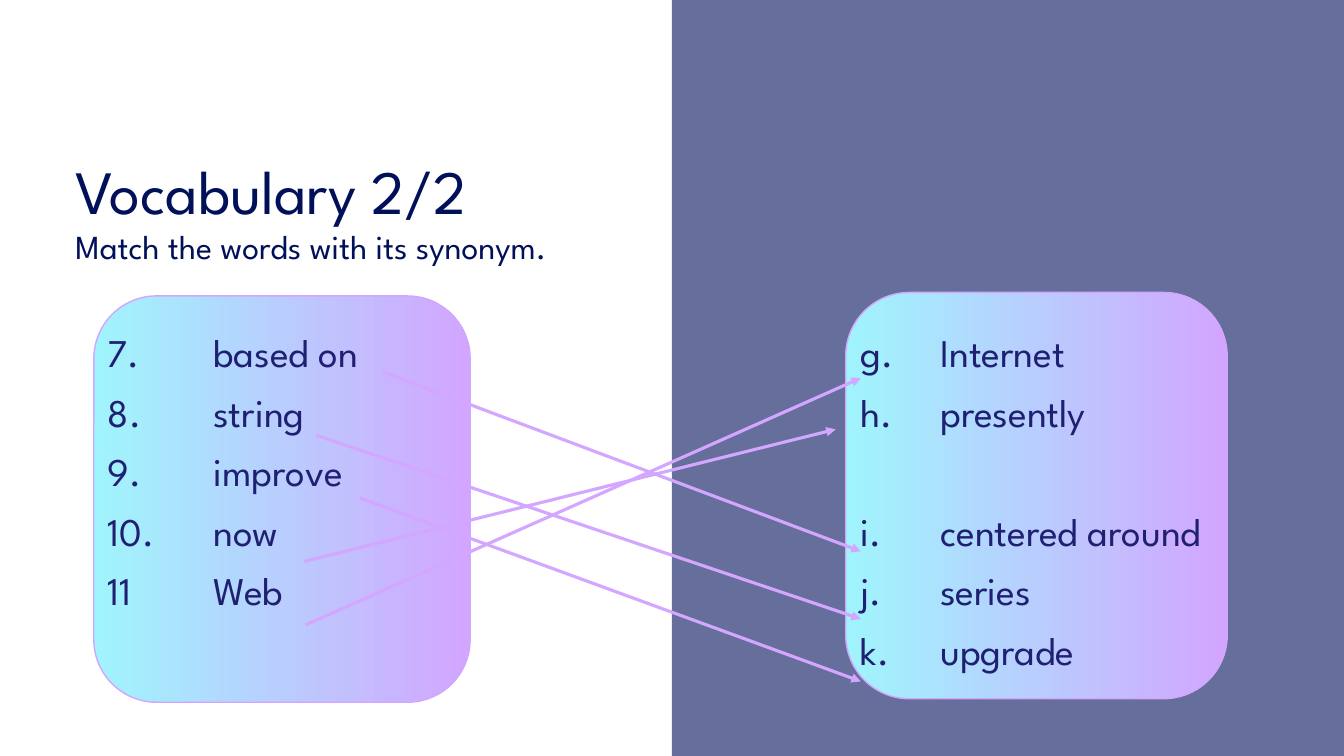
"""Build a vocabulary slide that matches words with their synonyms."""
from lxml import etree
from pptx import Presentation, util as u
from pptx.dml.color import RGBColor
from pptx.enum import shapes, text
from pptx.oxml import ns

FONT = "League Spartan"
NO_GRID_STYLE = "{2D5ABB26-0587-4C30-8999-92F81FD0307C}"
COLORS = {"navy": "001059", "ink": "1F2072", "aqua": "A0F4FD",
          "lilac": "D2A6FF", "arrow": "D3A6FF"}
ROWS = [("7.", "based on", "g.", "Internet"),
        ("8.", "string", "h.", "presently"),
        ("9.", "improve", "", ""),
        ("10.", "now", "i.", "centered around"),
        ("11", "Web", "j.", "series"),
        ("", "", "k.", "upgrade")]


def color(name):
    return RGBColor.from_string(COLORS[name])


def style(para, size, name):
    for span in para.runs:
        span.font.name = FONT
        span.font.size = u.Pt(size)
        span.font.color.rgb = color(name)


deck = Presentation()
deck.slide_width, deck.slide_height = u.Pt(960), u.Pt(540)
page = deck.slides.add_slide(deck.slide_layouts[6])

panel = page.shapes.add_shape(shapes.MSO_SHAPE.RECTANGLE,
                              u.Pt(480), u.Pt(0), u.Pt(480), u.Pt(540))
panel.shadow.inherit = False
panel.fill.solid()
panel.fill.fore_color.rgb = color("navy")
panel.line.fill.background()
panel_color = panel._element.spPr.find(".//" + ns.qn("a:srgbClr"))
etree.SubElement(panel_color, ns.qn("a:alpha"), val="60000")

for left, top, width in [(67, 211.4, 268.8), (604.1, 208.9, 272.5)]:
    card = page.shapes.add_shape(shapes.MSO_SHAPE.ROUNDED_RECTANGLE,
                                 u.Pt(left), u.Pt(top), u.Pt(width), u.Pt(290.2))
    card.shadow.inherit = False
    card.fill.gradient()
    card.fill.gradient_angle = 0
    for stop, name in zip(card.fill.gradient_stops, ("aqua", "lilac")):
        stop.color.rgb = color(name)
    card.line.color.rgb = color("lilac")
    card.line.width = u.Pt(1)

frame = page.shapes.add_table(len(ROWS), 4, u.Pt(77), u.Pt(230.4),
                              u.Pt(883), u.Pt(255))
words = frame.table
words.first_row = words.horz_banding = False
words._tbl.tblPr.find(ns.qn("a:tableStyleId")).text = NO_GRID_STYLE
for column, width in zip(words.columns, (75.6, 462.2, 56.9, 288.3)):
    column.width = u.Pt(width)
for row, entries in zip(words.rows, ROWS):
    row.height = u.Pt(42.5)
    for cell, entry in zip(row.cells, entries):
        cell.fill.background()
        cell.margin_left = cell.margin_right = u.Pt(0)
        cell.margin_top = cell.margin_bottom = u.Pt(0)
        if entry:
            para = cell.text_frame.paragraphs[0]
            para.text = entry
            para.line_spacing = 1.5
            style(para, 28, "ink")

for wording, size, top, width, height in [
        ("Vocabulary 2/2", 44, 105.8, 349.2, 60.5),
        ("Match the words with its synonym.", 24, 157.7, 397.4, 36)]:
    box = page.shapes.add_textbox(u.Pt(46.8), u.Pt(top), u.Pt(width), u.Pt(height))
    box.text_frame.word_wrap = True
    box.text_frame.auto_size = text.MSO_AUTO_SIZE.SHAPE_TO_FIT_TEXT
    box.text_frame.text = wording
    style(box.text_frame.paragraphs[0], size, "navy")

for start_x, start_y, end_x, end_y in [(273.6, 265.7, 614.9, 393.8),
                                       (226.1, 311, 614.9, 442.1),
                                       (257, 355.7, 614.9, 486.7),
                                       (217.4, 401, 596.9, 306.7),
                                       (218.2, 446.4, 614.9, 270)]:
    arrow = page.shapes.add_connector(shapes.MSO_CONNECTOR.STRAIGHT,
                                      u.Pt(start_x), u.Pt(start_y),
                                      u.Pt(end_x), u.Pt(end_y))
    arrow.line.color.rgb = color("arrow")
    arrow.line.width = u.Pt(2.25)
    etree.SubElement(arrow.line._get_or_add_ln(), ns.qn("a:tailEnd"), type="triangle")
    etree.SubElement(arrow._element.spPr, ns.qn("a:effectLst"))

deck.save("out.pptx")
